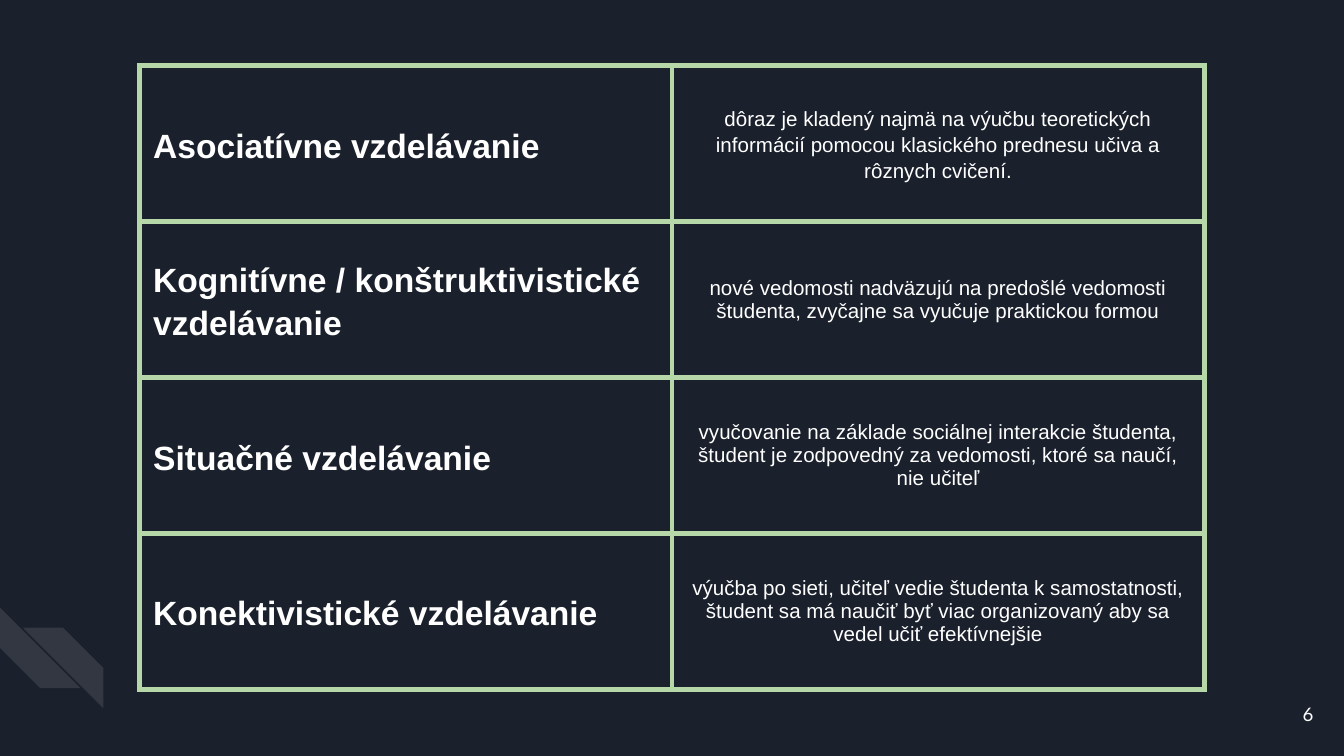
from lxml import etree
from pptx import Presentation
from pptx.dml.color import RGBColor
from pptx.enum import shapes, text
from pptx.oxml.ns import qn
from pptx.util import Inches, Pt

NAVY = RGBColor(0x1B, 0x21, 0x2C)
WHITE = RGBColor(0xFF, 0xFF, 0xFF)
GREEN = RGBColor(0xB6, 0xD7, 0xA8)

# approach, description, line spacing of the description
APPROACHES = [
    ("Asociatívne vzdelávanie",
     "dôraz je kladený najmä na výučbu teoretických informácií pomocou "
     "klasického prednesu učiva a rôznych cvičení.", 1.15),
    ("Kognitívne / konštruktivistické vzdelávanie",
     "nové vedomosti nadväzujú na predošlé vedomosti študenta, zvyčajne sa "
     "vyučuje praktickou formou", None),
    ("Situačné vzdelávanie",
     "vyučovanie na základe sociálnej interakcie študenta, študent je "
     "zodpovedný za vedomosti, ktoré sa naučí, nie učiteľ", None),
    ("Konektivistické vzdelávanie",
     "výučba po sieti, učiteľ vedie študenta k samostatnosti, študent sa má "
     "naučiť byť viac organizovaný aby sa vedel učiť efektívnejšie", None),
]
# left, top, rotation, flipped
STRIPES = [(0, 4.52, 270, False), (0.17, 4.67, 0, True)]
STRIPE_SIZE = 0.6
SLIDE_W = 10
TABLE_LEFT, TABLE_TOP = 1.04, 0.49
COL_W, ROW_H = 3.96, 1.16
MARGIN = Inches(0.1)


def style(p, size, font="Arial", bold=False, align=None, spacing=None):
    """Format one paragraph."""
    p.font.size = Pt(size)
    p.font.name = font
    p.font.bold = bold
    p.font.color.rgb = WHITE
    p.alignment = align
    p.line_spacing = spacing


def set_margins(box):
    """Give a cell or text frame the same margin on all sides."""
    box.margin_left = box.margin_right = MARGIN
    box.margin_top = box.margin_bottom = MARGIN
    box.vertical_anchor = text.MSO_ANCHOR.MIDDLE


def add_borders(cell):
    """Draw a green line on each side of a cell."""
    tcPr = cell._tc.get_or_add_tcPr()
    for i, side in enumerate(("lnL", "lnR", "lnT", "lnB")):
        ln = etree.Element(qn("a:" + side), w=str(Pt(3)))
        fill = etree.SubElement(ln, qn("a:solidFill"))
        etree.SubElement(fill, qn("a:srgbClr"), val=str(GREEN))
        tcPr.insert(i, ln)


def add_stripe(s, left, top, rotation, flipped):
    """Add a translucent corner stripe."""
    sp = s.shapes.add_shape(shapes.MSO_SHAPE.DIAGONAL_STRIPE, Inches(left),
                            Inches(top), Inches(STRIPE_SIZE), Inches(STRIPE_SIZE))
    sp.shadow.inherit = False
    sp.adjustments[0] = 0.5
    sp.rotation = rotation
    sp.line.fill.background()
    sp.fill.solid()
    sp.fill.fore_color.rgb = WHITE
    spPr = sp._element.spPr
    color = spPr.find(qn("a:solidFill")).find(qn("a:srgbClr"))
    etree.SubElement(color, qn("a:alpha"), val="10000")
    if flipped:
        spPr.find(qn("a:xfrm")).set("flipH", "1")


def add_approaches(s):
    """Add the table of learning approaches."""
    rows = len(APPROACHES)
    table = s.shapes.add_table(rows, 2, Inches(TABLE_LEFT), Inches(TABLE_TOP),
                               Inches(2 * COL_W), Inches(rows * ROW_H)).table
    table.first_row = table.horz_banding = False
    for col in table.columns:
        col.width = Inches(COL_W)
    for r, (name, description, spacing) in enumerate(APPROACHES):
        table.rows[r].height = Inches(ROW_H)
        for c, words in enumerate((name, description)):
            cell = table.cell(r, c)
            cell.text = words
            cell.fill.background()
            set_margins(cell)
            add_borders(cell)
        style(table.cell(r, 0).text_frame.paragraphs[0], 18, bold=True, spacing=1.15)
        style(table.cell(r, 1).text_frame.paragraphs[0], 11,
              align=text.PP_ALIGN.CENTER, spacing=spacing)


def add_page_number(s, number):
    """Add the slide number at the lower right."""
    tf = s.shapes.add_textbox(Inches(9.27), Inches(5.1),
                              Inches(0.6), Inches(0.43)).text_frame
    tf.word_wrap = True
    tf.text = number
    set_margins(tf)
    style(tf.paragraphs[0], 10, font="Lato", align=text.PP_ALIGN.RIGHT)


prs = Presentation()
prs.slide_width = Inches(SLIDE_W)
prs.slide_height = Inches(SLIDE_W * 9 / 16)
s = prs.slides.add_slide(prs.slide_layouts[6])
s.background.fill.solid()
s.background.fill.fore_color.rgb = NAVY
for stripe in STRIPES:
    add_stripe(s, *stripe)
add_approaches(s)
add_page_number(s, "6")
prs.save("out.pptx")
